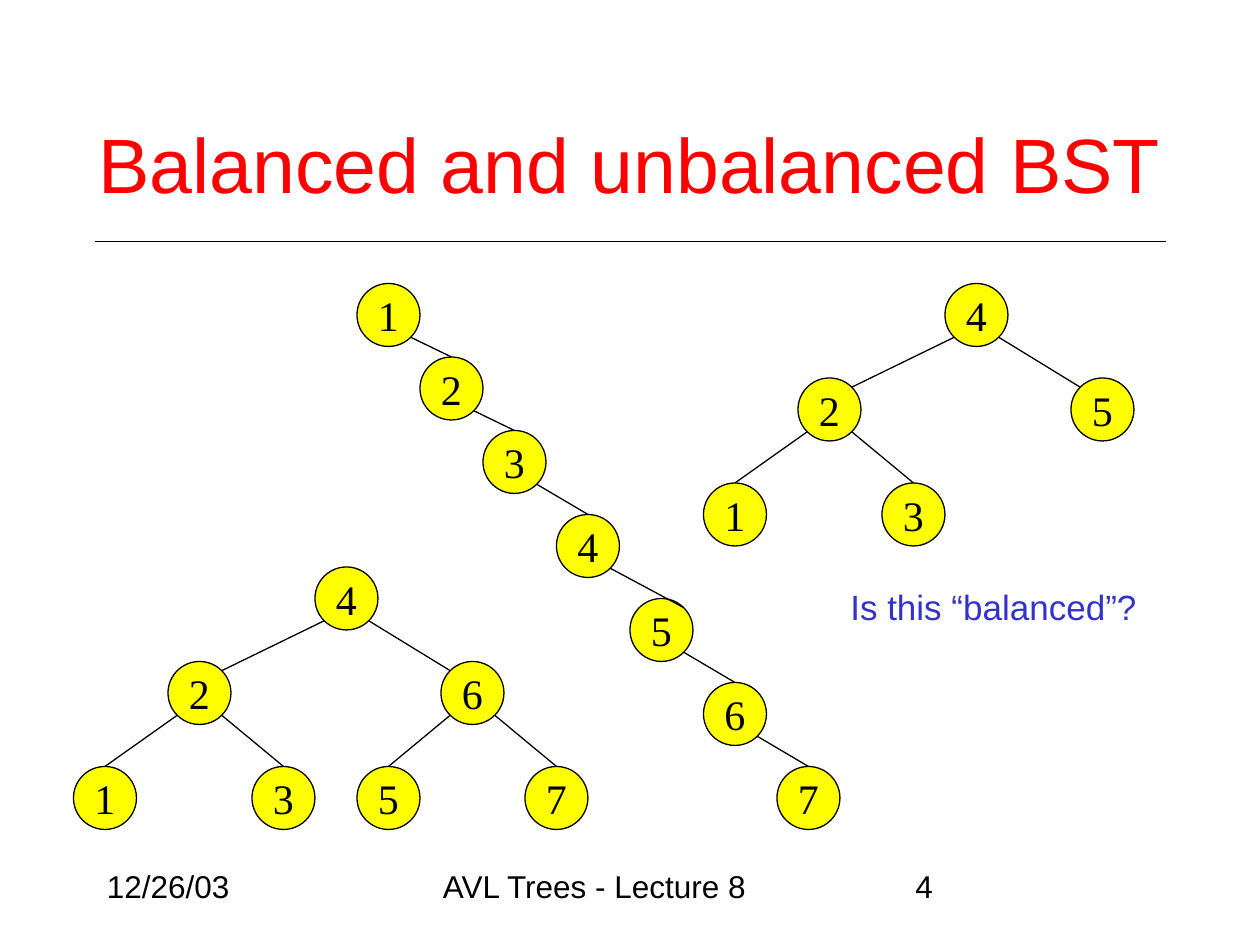
"""Build a slide comparing balanced and unbalanced binary search trees."""
import math

import pptx
import pptx.dml.color
import pptx.enum.shapes
import pptx.enum.text
import pptx.oxml.ns
import pptx.util
from lxml import etree

Pt = pptx.util.Pt
RGBColor = pptx.dml.color.RGBColor
PP_ALIGN = pptx.enum.text.PP_ALIGN
MSO_ANCHOR = pptx.enum.text.MSO_ANCHOR

BLACK = RGBColor(0x00, 0x00, 0x00)
RED = RGBColor(0xFF, 0x00, 0x00)
YELLOW = RGBColor(0xFF, 0xFF, 0x00)
BLUE = RGBColor(0x33, 0x33, 0xCC)

TREE_OFFSETS = [(0, 0), (-84, 54), (72, 54),
                (-138, 114), (-36, 114), (24, 114), (120, 114)]
CHAIN = [(204, 162), (240, 204), (276, 246), (318, 294),
         (360, 342), (402, 390), (444, 438)]


class Deck:
    """Style and current slide, with a method for each kind of element."""

    body_font = "Arial"
    node_font = "Times New Roman"
    node_size = 36
    line_width = 0.75

    def __init__(self, prs):
        self.s = prs.slides.add_slide(prs.slide_layouts[6])

    def set_text(self, tf, text, size, font, color, align, anchor, wrap):
        """Fill a text frame with one formatted paragraph."""
        tf.text = text
        tf.word_wrap = wrap
        tf.vertical_anchor = anchor
        p = tf.paragraphs[0]
        p.alignment = align
        r = p.runs[0]
        r.font.size = Pt(size)
        r.font.name = font
        r.font.color.rgb = color

    def text(self, x, y, w, h, text, size, color=BLACK, align=PP_ALIGN.LEFT,
             anchor=MSO_ANCHOR.TOP, wrap=True):
        """Add a text box."""
        sp = self.s.shapes.add_textbox(Pt(x), Pt(y), Pt(w), Pt(h))
        self.set_text(sp.text_frame, text, size, self.body_font, color,
                      align, anchor, wrap)

    def line(self, start, end):
        """Add a thin straight line."""
        cxn = self.s.shapes.add_connector(
            pptx.enum.shapes.MSO_CONNECTOR.STRAIGHT,
            Pt(start[0]), Pt(start[1]), Pt(end[0]), Pt(end[1]))
        cxn.line.color.rgb = BLACK
        cxn.line.width = Pt(self.line_width)
        etree.SubElement(cxn._element.spPr, pptx.oxml.ns.qn("a:effectLst"))

    def node(self, pos, label):
        """Add a circular tree node with its top left corner at pos."""
        sp = self.s.shapes.add_shape(
            pptx.enum.shapes.MSO_SHAPE.OVAL, Pt(pos[0]), Pt(pos[1]),
            Pt(self.node_size), Pt(self.node_size))
        sp.shadow.inherit = False
        sp.fill.solid()
        sp.fill.fore_color.rgb = YELLOW
        sp.line.color.rgb = BLACK
        sp.line.width = Pt(self.line_width)
        self.set_text(sp.text_frame, str(label), 24, self.node_font, BLACK,
                      PP_ALIGN.CENTER, MSO_ANCHOR.MIDDLE, False)

    def rim(self, pos, angle):
        """Return the point on a node's rim at a clockwise angle from the right."""
        radius = self.node_size / 2
        a = math.radians(angle)
        return (pos[0] + radius * (1 + math.cos(a)),
                pos[1] + radius * (1 + math.sin(a)))

    def edge(self, parent, child, start_angle, end_angle=270):
        """Join a parent node to a child node."""
        self.line(self.rim(parent, start_angle), self.rim(child, end_angle))

    def tree(self, x, y, labels):
        """Add a binary tree with its labels in level order."""
        spots = [(x + dx, y + dy) for dx, dy in TREE_OFFSETS[:len(labels)]]
        for pos, label in zip(spots, labels):
            self.node(pos, label)
        for i in range(1, len(spots)):
            start, facing = (135, 315) if i % 2 else (45, 225)
            self.edge(spots[(i - 1) // 2], spots[i], start,
                      facing if i < 3 else 270)

    def chain(self, spots):
        """Add a tree that only has right children, numbered from 1."""
        for label, pos in enumerate(spots, 1):
            self.node(pos, label)
        for label, (parent, child) in enumerate(zip(spots, spots[1:]), 1):
            self.edge(parent, child, 45, 315 if label == 4 else 270)


def main():
    prs = pptx.Presentation()
    prs.slide_width, prs.slide_height = Pt(720), Pt(540)
    deck = Deck(prs)
    deck.line((54, 138), (666, 138))
    for x, w, text in [(54, 150, "12/26/03"),
                       (246, 228, "AVL Trees - Lecture 8"),
                       (516, 150, "4")]:
        deck.text(x, 492, w, 36, text, 18)
    deck.text(42, 48, 636, 90, "Balanced and unbalanced BST", 44, RED,
              PP_ALIGN.CENTER, MSO_ANCHOR.MIDDLE)
    deck.tree(540, 162, [4, 2, 5, 1, 3])
    deck.chain(CHAIN)
    deck.tree(180, 324, [4, 2, 6, 1, 3, 5, 7])
    deck.text(478.8, 331.2, 178, 31.5, "Is this “balanced”?", 20, BLUE,
              wrap=False)
    prs.save("out.pptx")


if __name__ == "__main__":
    main()
